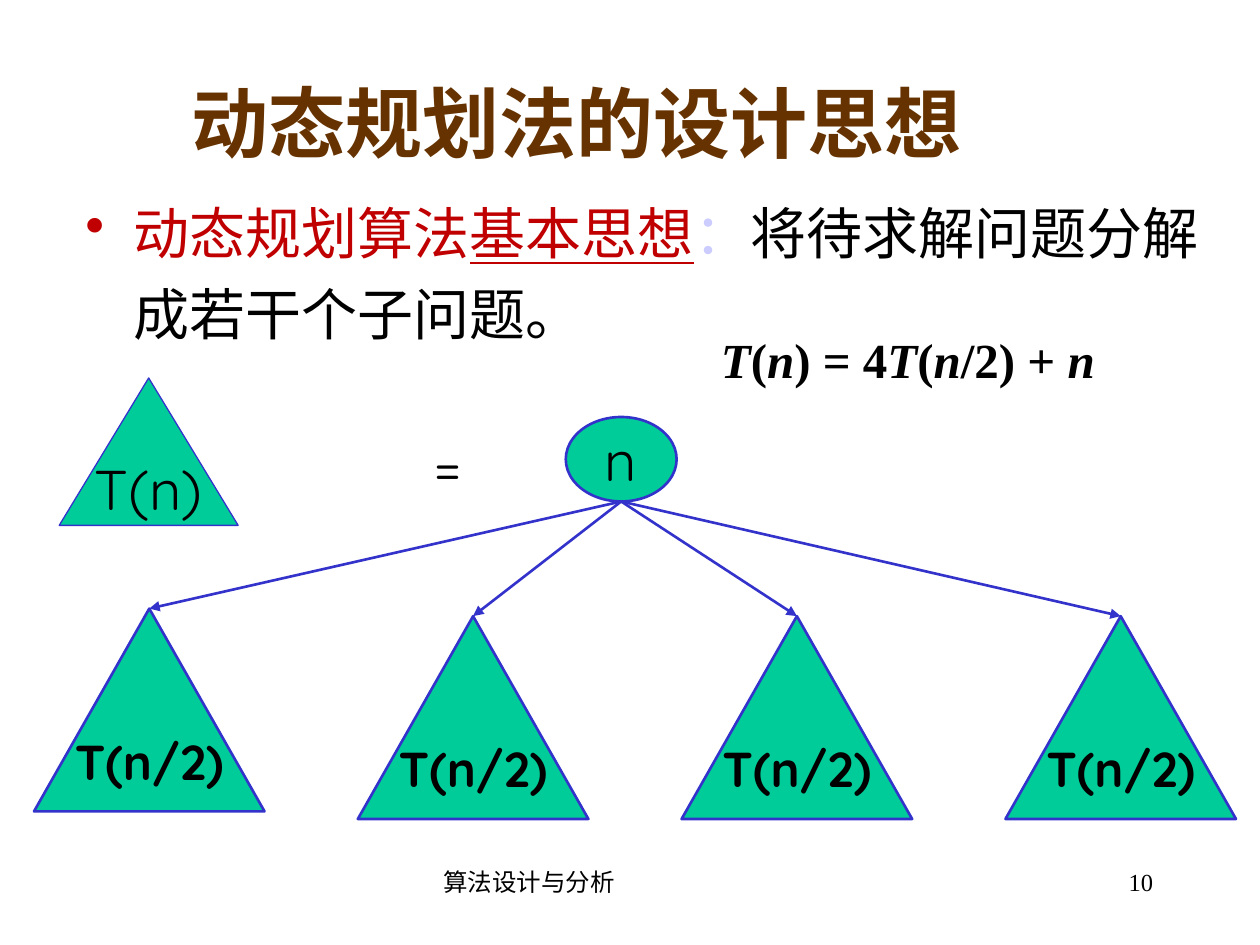
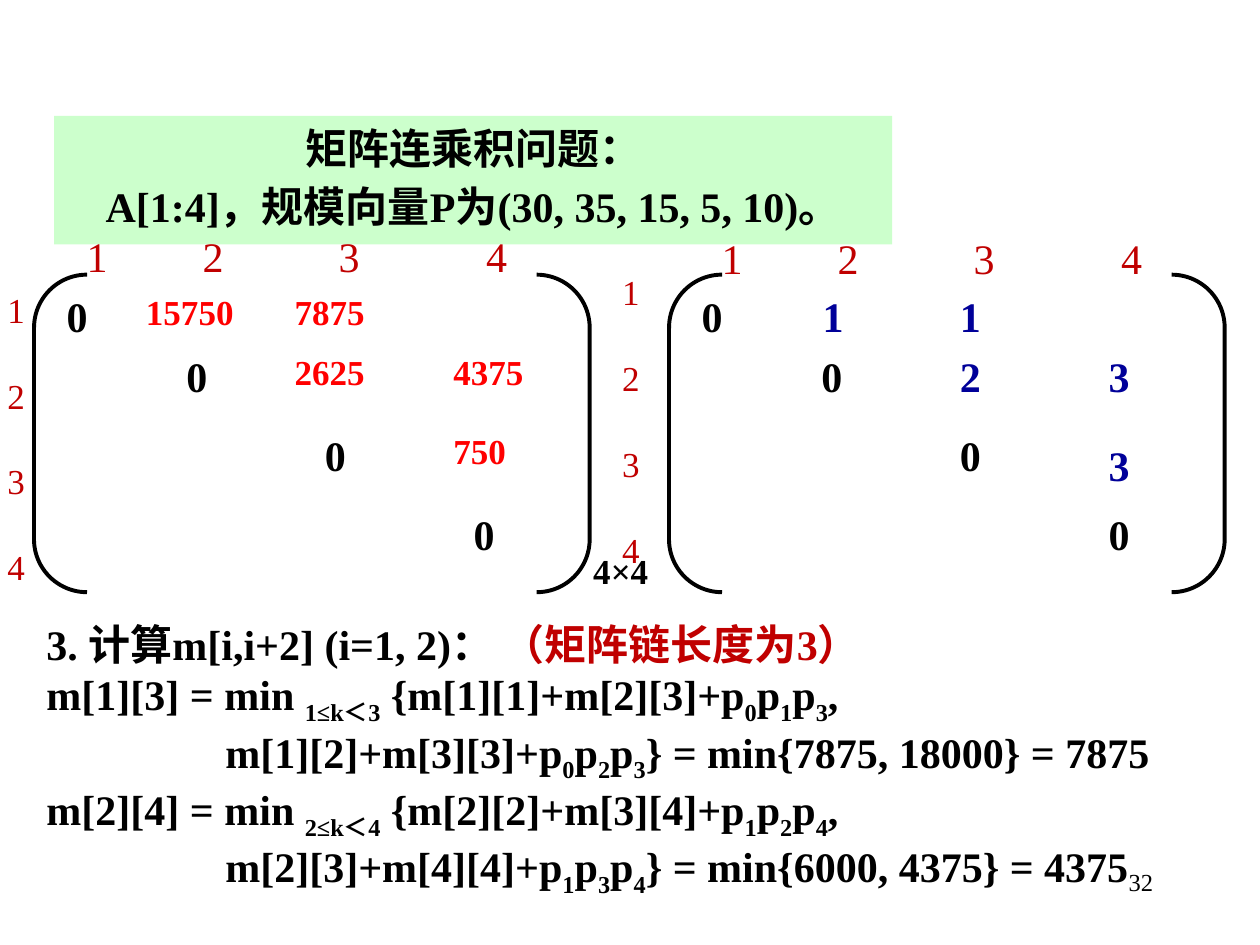
from lxml import etree
from pptx import Presentation
from pptx import util as u
from pptx.dml.color import RGBColor
from pptx.enum import shapes, text
from pptx.oxml.ns import qn

COLORS = {
    "ink": "000000", "title": "663300", "accent": "C00000", "pale": "CCCCFF",
    "node": "00CC99", "edge": "3333CC", "band": "CCFFCC", "cost": "FF0000", "split": "000099",
}
SERIF, ROUNDED = "Times New Roman", "Quicksand"
CENTER, RIGHT = text.PP_ALIGN.CENTER, text.PP_ALIGN.RIGHT
SHAPE = shapes.MSO_SHAPE
TITLE = dict(size=44, bold=True, color="title")
FOOTER = dict(size=14)
STRONG = dict(size=24, bold=True)


def rgb(name):
    """Return the named colour."""
    return RGBColor.from_string(COLORS[name])


def toggled(line, **marked):
    """Split a line at bars and give every second piece the marked format."""
    return [(piece, marked if i % 2 else {}) for i, piece in enumerate(line.split("|")) if piece]


def set_font(run, size=18, color="ink", name=SERIF, baseline=None, **styles):
    """Give a run its size, colour, face and styles."""
    values = dict(size=u.Pt(size), name=name, **styles)
    for key, value in values.items():
        setattr(run.font, key, value)
    run.font.color.rgb = rgb(color)
    if baseline:
        run._r.get_or_add_rPr().set("baseline", str(baseline))


def add_stops(paragraph, left=0, hang=0, bullet=None, tabs=()):
    """Set a paragraph's indents, bullet and tab stops."""
    props = paragraph._p.get_or_add_pPr()
    if left:
        props.set("marL", str(u.Inches(left)))
        props.set("indent", str(-u.Inches(hang)))
    if bullet:
        etree.SubElement(props, qn("a:buChar")).set("char", bullet)
    if tabs:
        stops = etree.SubElement(props, qn("a:tabLst"))
        for position in tabs:
            stop = etree.SubElement(stops, qn("a:tab"))
            stop.set("pos", str(u.Inches(position)))
            stop.set("algn", "l")


def write(holder, paragraphs, base, wrap=True, middle=False):
    """Fill a shape with paragraphs of (runs, layout) over a base font."""
    frame = holder.text_frame
    frame.word_wrap = wrap
    frame.vertical_anchor = text.MSO_ANCHOR.MIDDLE if middle else text.MSO_ANCHOR.TOP
    for i, (runs, layout) in enumerate(paragraphs):
        paragraph = frame.paragraphs[0] if i == 0 else frame.add_paragraph()
        layout = dict(layout)
        settings = {key: layout.pop(key) for key in ("alignment", "line_spacing", "space_before")
                    if key in layout}
        add_stops(paragraph, **layout)
        for key, value in settings.items():
            setattr(paragraph, key, value)
        for words, changes in runs:
            run = paragraph.add_run()
            run.text = words
            set_font(run, **{**base, **changes})


def add_text(slide, box, paragraphs, base, **options):
    """Add a text box at a box given in inches."""
    holder = slide.shapes.add_textbox(*map(u.Inches, box))
    write(holder, paragraphs, base, **options)


def add_label(slide, box, words, base, alignment=None, **options):
    """Add a text box of one plain paragraph."""
    layout = {"alignment": alignment} if alignment else {}
    add_text(slide, box, [([(words, {})], layout)], base, **options)


def add_figure(slide, kind, box, fill=None, line=None, width=1.5):
    """Add a flat preset shape."""
    figure = slide.shapes.add_shape(kind, *map(u.Inches, box))
    figure.shadow.inherit = False
    if fill:
        figure.fill.solid()
        figure.fill.fore_color.rgb = rgb(fill)
    else:
        figure.fill.background()
    if line:
        figure.line.color.rgb = rgb(line)
        figure.line.width = u.Pt(width)
    else:
        figure.line.fill.background()
    return figure


def add_node(slide, kind, box, words, width=1.5, **font):
    """Add a green tree node with its label."""
    node = add_figure(slide, kind, box, "node", "edge", width)
    write(node, [([(words, {})], {"alignment": CENTER})],
          dict(name=ROUNDED, **font), wrap=False, middle=True)
    return node


def add_branch(slide, start, child):
    """Draw an arrow from a point to the tip of a child triangle."""
    branch = slide.shapes.add_connector(shapes.MSO_CONNECTOR.STRAIGHT, *start, *start)
    branch.end_connect(child, 0)
    branch.line.color.rgb = rgb("edge")
    branch.line.width = u.Pt(1.5)
    etree.SubElement(branch.line._get_or_add_ln(), qn("a:tailEnd")).set("type", "triangle")
    etree.SubElement(branch._element.spPr, qn("a:effectLst"))


def add_page_number(slide, number):
    """Write the page number at the lower right."""
    add_label(slide, (7.17, 6.83, 2.08, 0.5), str(number), FOOTER, RIGHT)


def add_recursion_tree(slide, left, top):
    """Draw T(n) as a root with four half-size subproblems."""
    add_node(slide, SHAPE.ISOSCELES_TRIANGLE, (left + 0.2, top, 1.42, 1.17), "T(n)", 0.75, size=32)
    add_label(slide, (left + 2.7, top + 0.37, 1.17, 0.63), "=",
              dict(size=32, name=ROUNDED), CENTER)
    root = add_node(slide, SHAPE.OVAL, (left + 4.22, top + 0.31, 0.88, 0.67), "n", size=32)
    root_foot = (root.left + root.width // 2, root.top + root.height)
    for i in range(4):
        child_top = top + (1.89 if i else 1.83)
        child = add_node(slide, SHAPE.ISOSCELES_TRIANGLE,
                         (left + 2.57 * i, child_top, 1.83, 1.61), "T(n/2)", size=28, bold=True)
        add_branch(slide, root_foot, child)


def add_matrix(slide, left, top, entries, columns, font, drops, header_top, labels_at):
    """Draw a bracketed 4 by 4 upper triangular matrix with its indices."""
    rows, diagonal = (0.08, 0.55, 1.18, 1.81), (0.16, 1.11, 2.21, 3.39)
    bracket = add_figure(slide, SHAPE.DOUBLE_BRACKET, (left, top, 4.41, 2.52),
                         line="ink", width=2.25)
    bracket.adjustments[0] = 0.167
    for x, y in zip(diagonal, rows):
        add_label(slide, (left + x, top + y, 0.79, 0.5), "0", STRONG)
    for (row, column), value in entries.items():
        y = top + rows[row] + drops.get((row, column), 0)
        add_label(slide, (left + columns[column - 1], y, 1.02, 0.43), value, font)
    header = [([("1\t2\t3\t4", {})], {"tabs": (0.92, 2, 3.17)})]
    add_text(slide, (left + 0.32, top + header_top, 4.33, 0.5), header,
             dict(size=24, color="accent"))
    labels = [([(str(i + 1), {})], {"space_before": u.Pt(25)} if i else {}) for i in range(4)]
    add_text(slide, (left + labels_at[0], top + labels_at[1], 0.5, 2.46), labels,
             dict(size=20, color="accent"))


def add_problem_band(slide, box):
    """State the matrix chain problem on a green band."""
    hanging = dict(left=0.38, hang=0.38)
    write(add_figure(slide, SHAPE.RECTANGLE, box, "band"), [
        ([("矩阵连乘积问题：", {})], hanging),
        ([("A[1:4]，规模向量P为(30, 35, 15, 5, 10)。", {})],
         dict(hanging, alignment=CENTER, space_before=u.Pt(4.8))),
    ], STRONG)


def add_derivation(slide, box):
    """Write the step for chains of length three."""
    heading = [("3. 计算m[i,i+2] (i=1, 2)： ", {}), ("（矩阵链长度为3）", {"color": "accent"})]
    steps = [
        ("m[1][3] = min |1≤k＜3| {m[1][1]+m[2][3]+p|0|p|1|p|3|,", 0),
        ("m[1][2]+m[3][3]+p|0|p|2|p|3|} = min{7875, 18000} = 7875", 1.42),
        ("m[2][4] = min |2≤k＜4| {m[2][2]+m[3][4]+p|1|p|2|p|4|,", 0),
        ("m[2][3]+m[4][4]+p|1|p|3|p|4|} = min{6000, 4375} = 4375", 1.42),
    ]
    lines = [(toggled(step, baseline=-25000), {"left": indent}) for step, indent in steps]
    add_text(slide, box, [(heading, {})] + lines, STRONG)


def build_idea_slide(slide):
    """Build the slide on the idea of dynamic programming."""
    add_label(slide, (3.42, 6.83, 3.17, 0.5), "算法设计与分析", FOOTER)
    add_page_number(slide, 10)
    add_label(slide, (0.33, 0.55, 8.5, 0.83), "动态规划法的设计思想", TITLE, CENTER, middle=True)
    idea = [
        ("动态规划算法", {"color": "accent"}),
        ("基本思想", {"color": "accent", "underline": True}),
        ("：", {"color": "pale"}),
        ("将待求解问题分解成若干个子问题。", {}),
    ]
    add_text(slide, (0.58, 1.42, 9.08, 1.33),
             [(idea, dict(left=0.38, hang=0.38, bullet="•", line_spacing=1.2))], dict(size=32))
    add_recursion_tree(slide, 0.27, 3)
    recurrence = toggled("|T|(|n|) = 4|T|(|n|/2) + |n|", italic=True)
    add_text(slide, (5.08, 2.57, 4.25, 0.57), [(recurrence, {"alignment": CENTER})],
             dict(size=28, bold=True))


def build_chain_slide(slide):
    """Build the slide on the matrix chain example."""
    add_page_number(slide, 32)
    add_problem_band(slide, (0.43, 0.92, 6.65, 1.02))
    costs = {(0, 1): "15750", (0, 2): "7875", (1, 2): "2625", (1, 3): "4375", (2, 3): "750"}
    splits = {(0, 1): "1", (0, 2): "1", (1, 2): "2", (1, 3): "3", (2, 3): "3"}
    add_matrix(slide, 0.27, 2.18, costs, (0.79, 1.97, 3.23),
               dict(size=20, bold=True, color="cost"), {}, -0.4, (-0.31, 0.06))
    add_matrix(slide, 5.31, 2.18, splits, (1.12, 2.21, 3.39),
               dict(STRONG, color="split"), {(2, 3): 0.08}, -0.38, (-0.47, -0.08))
    add_label(slide, (4.61, 4.31, 0.79, 0.43), "4×4", dict(size=20, bold=True))
    add_derivation(slide, (0.27, 4.86, 9.21, 2.12))


def main():
    """Build and save the slides."""
    deck = Presentation()
    deck.slide_width, deck.slide_height = u.Inches(10), u.Inches(7.5)
    for build in (build_idea_slide, build_chain_slide):
        build(deck.slides.add_slide(deck.slide_layouts[6]))
    deck.save("out.pptx")


if __name__ == "__main__":
    main()
